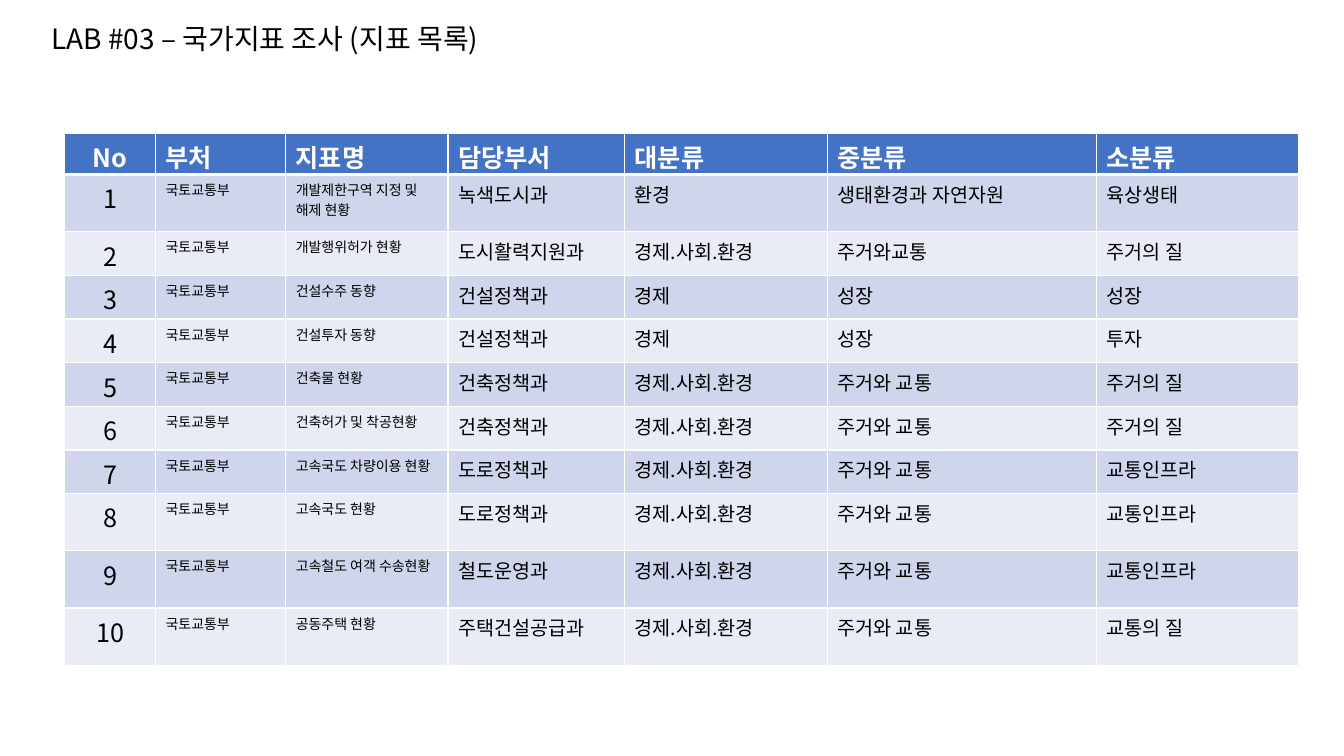
from lxml.etree import SubElement
from pptx import Presentation
from pptx.dml.color import RGBColor
from pptx.enum.text import MSO_ANCHOR, PP_ALIGN
from pptx.oxml.ns import qn
from pptx.util import Cm, Pt

FONT = "Noto Sans CJK KR"
BLACK = RGBColor(0x00, 0x00, 0x00)
WHITE = RGBColor(0xFF, 0xFF, 0xFF)
HEADER_BLUE = RGBColor(0x44, 0x72, 0xC4)
BAND_DARK = RGBColor(0xCF, 0xD5, 0xEA)
BAND_LIGHT = RGBColor(0xE9, 0xEB, 0xF5)

MINISTRY = "국토교통부"
ALL_FIELDS = "경제.사회.환경"
HOUSING = "주거와 교통"
HEADERS = ["No", "부처", "지표명", "담당부서", "대분류", "중분류", "소분류"]
INDICATORS = [
    ("개발제한구역 지정 및 해제 현황", "녹색도시과", "환경", "생태환경과 자연자원", "육상생태"),
    ("개발행위허가 현황", "도시활력지원과", ALL_FIELDS, "주거와교통", "주거의 질"),
    ("건설수주 동향", "건설정책과", "경제", "성장", "성장"),
    ("건설투자 동향", "건설정책과", "경제", "성장", "투자"),
    ("건축물 현황", "건축정책과", ALL_FIELDS, HOUSING, "주거의 질"),
    ("건축허가 및 착공현황", "건축정책과", ALL_FIELDS, HOUSING, "주거의 질"),
    ("고속국도 차량이용 현황", "도로정책과", ALL_FIELDS, HOUSING, "교통인프라"),
    ("고속국도 현황", "도로정책과", ALL_FIELDS, HOUSING, "교통인프라"),
    ("고속철도 여객 수송현황", "철도운영과", ALL_FIELDS, HOUSING, "교통인프라"),
    ("공동주택 현황", "주택건설공급과", ALL_FIELDS, HOUSING, "교통의 질"),
]
COLUMN_WIDTHS = [2.29, 3.28, 4.09, 4.45, 5.11, 6.78, 5.1]
COLUMN_SIZES = [18, 10, 10, 14, 14, 14, 14]
HEADER_HEIGHT, ROW_HEIGHT, TALL_HEIGHT = 1.05, 1.1, 1.44
TALL_ROWS = {1, 8, 9, 10}


def write_text(text_frame, text, size=14, color=BLACK, bold=False, align=PP_ALIGN.LEFT):
    """Write one formatted paragraph into a text frame."""
    paragraph = text_frame.paragraphs[0]
    paragraph.alignment = align
    run = paragraph.add_run()
    run.text = text
    run.font.name = FONT
    run.font.size = Pt(size)
    run.font.bold = bold
    run.font.color.rgb = color
    SubElement(run.font._element, qn("a:ea"), typeface=FONT)


def set_borders(cell, top=1, bottom=1):
    """Draw white borders around a cell, with widths in points."""
    properties = cell._tc.get_or_add_tcPr()
    for tag, width in (("lnL", 1), ("lnR", 1), ("lnT", top), ("lnB", bottom)):
        line = SubElement(properties, qn(f"a:{tag}"), w=str(Pt(width)))
        fill = SubElement(line, qn("a:solidFill"))
        SubElement(fill, qn("a:srgbClr"), val=str(WHITE))


def add_title(slide, left, top, width, height):
    """Place the slide title in the given box."""
    text_frame = slide.shapes.add_textbox(left, top, width, height).text_frame
    text_frame.word_wrap = False
    text_frame.margin_top = text_frame.margin_bottom = 0
    write_text(text_frame, "LAB #03 – 국가지표 조사 (지표 목록)", size=20)


def fill_cell(cell, text, row, column):
    """Format and fill one table cell according to its row and column."""
    is_header = row == 0
    set_borders(cell, top=3 if row == 1 else 1, bottom=3 if is_header else 1)
    cell.fill.solid()
    band = BAND_DARK if row % 2 else BAND_LIGHT
    cell.fill.fore_color.rgb = HEADER_BLUE if is_header else band
    cell.margin_bottom = 0
    cell.vertical_anchor = MSO_ANCHOR.TOP
    write_text(
        cell.text_frame,
        text,
        size=18 if is_header else COLUMN_SIZES[column],
        color=WHITE if is_header else BLACK,
        bold=is_header,
        align=PP_ALIGN.CENTER if column == 0 else PP_ALIGN.LEFT,
    )


def add_indicator_table(slide, left, top, width, height):
    """Place the table of national indicators in the given box."""
    rows = [HEADERS]
    rows += [(str(number), MINISTRY, *values) for number, values in enumerate(INDICATORS, 1)]
    table = slide.shapes.add_table(len(rows), len(HEADERS), left, top, width, height).table
    for column, column_width in zip(table.columns, COLUMN_WIDTHS):
        column.width = Cm(column_width)
    for row, values in enumerate(rows):
        body_height = TALL_HEIGHT if row in TALL_ROWS else ROW_HEIGHT
        table.rows[row].height = Cm(body_height if row else HEADER_HEIGHT)
        for column, text in enumerate(values):
            fill_cell(table.cell(row, column), text, row, column)


def main():
    """Build the slide and save the presentation."""
    presentation = Presentation()
    presentation.slide_width = Cm(33.87)
    presentation.slide_height = Cm(19.05)
    slide = presentation.slides.add_slide(presentation.slide_layouts[6])
    add_title(slide, Cm(1.04), Cm(0.53), Cm(12.83), Cm(1.12))
    add_indicator_table(slide, Cm(1.63), Cm(3.35), Cm(31.1), Cm(13.41))
    presentation.save("out.pptx")


if __name__ == "__main__":
    main()
